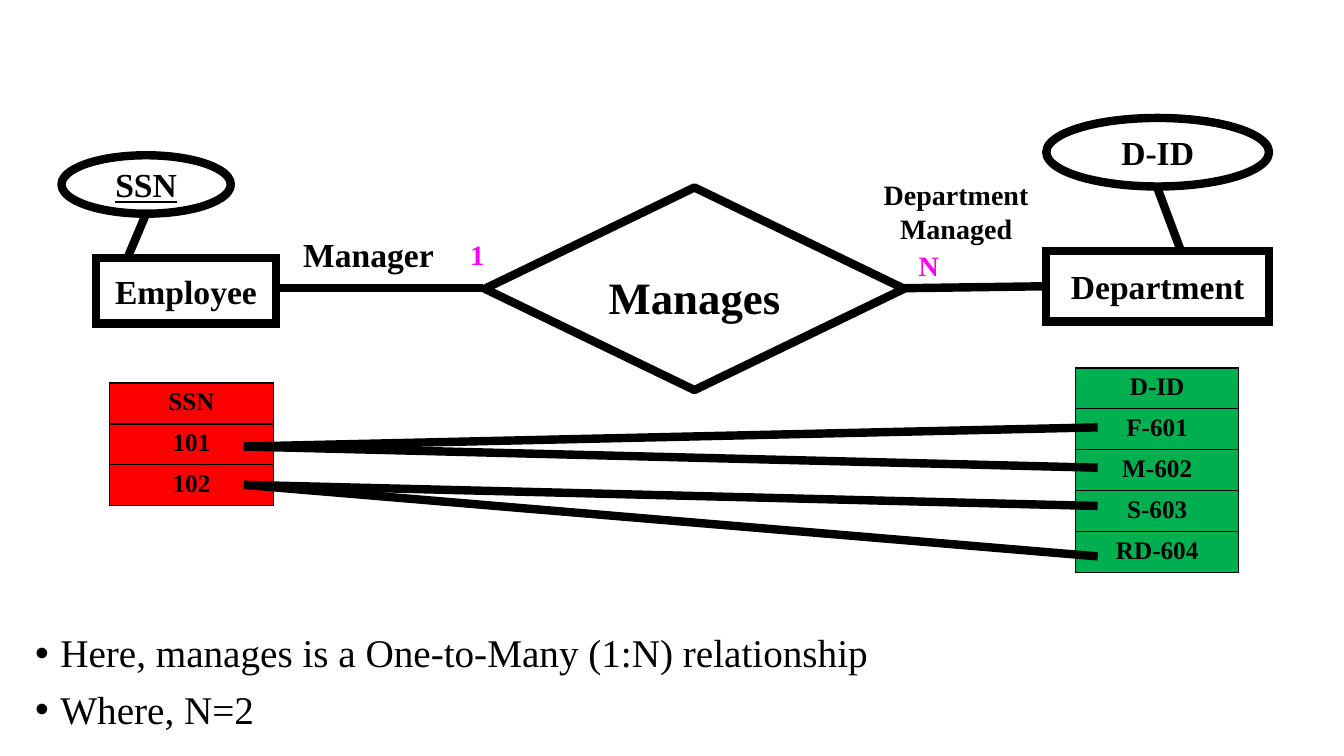
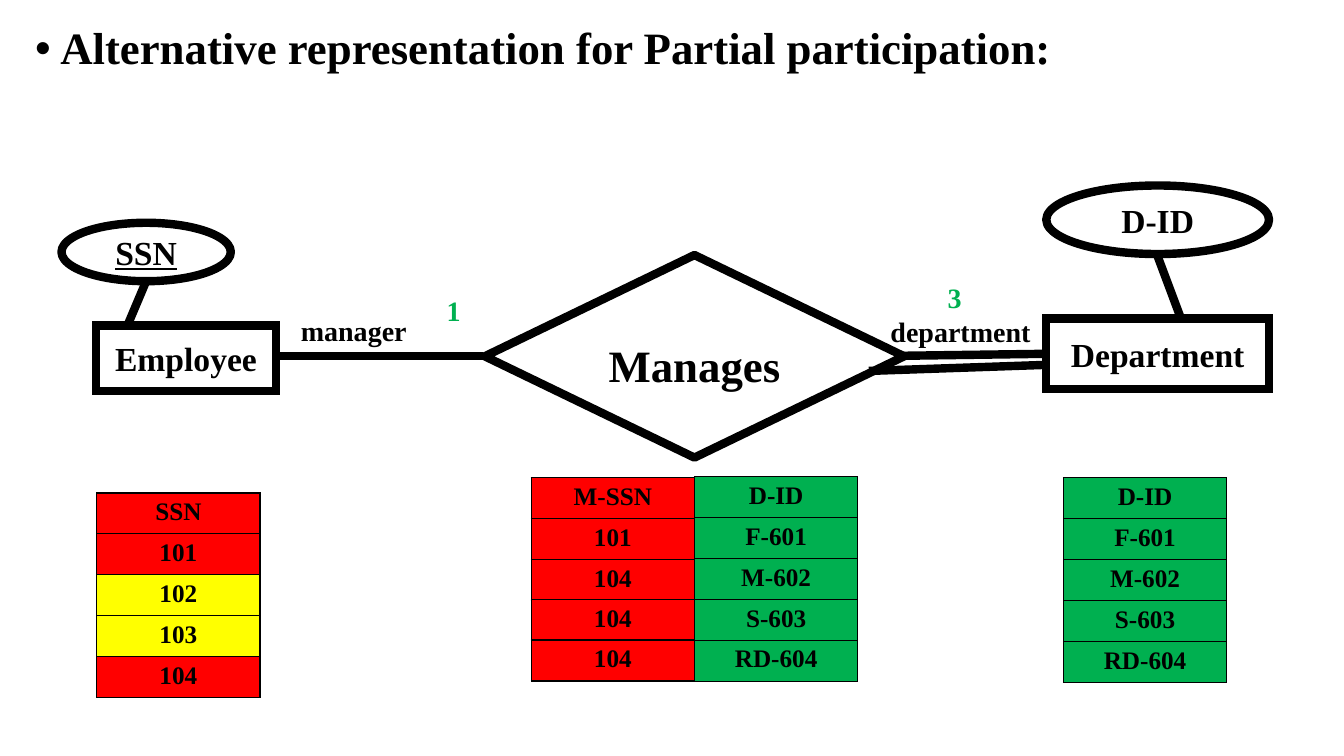
from lxml import etree
from pptx import Presentation
from pptx.dml.color import RGBColor
from pptx.enum.shapes import MSO_CONNECTOR, MSO_SHAPE
from pptx.enum.text import MSO_ANCHOR, PP_ALIGN
from pptx.oxml.ns import qn
from pptx.util import Inches, Pt

COLOURS = {
    "ink": "000000",
    "paper": "FFFFFF",
    "employee": "FF0000",
    "department": "00B050",
    "partial": "FFFF00",
    "cardinality": "FF00FF",
}
FONT = "Times New Roman"
STROKE = Pt(6)
COLUMN_WIDTH = 1.62
ROW_HEIGHT = 2.03 / 5
DEPARTMENTS = ["D-ID", "F-601", "M-602", "S-603", "RD-604"]


def rgb(name):
    return RGBColor.from_string(COLOURS[name])


def style(paragraph, size, bold=True, colour="ink", underline=None):
    font = paragraph.font
    font.name, font.size, font.bold = FONT, Pt(size), bold
    font.underline = underline
    font.color.rgb = rgb(colour)


def add_label(slide, text, box, size, colour="ink", anchor=MSO_ANCHOR.MIDDLE):
    frame = slide.shapes.add_textbox(*map(Inches, box)).text_frame
    frame.word_wrap = True
    frame.vertical_anchor = anchor
    frame.text = text
    for paragraph in frame.paragraphs:
        paragraph.alignment = PP_ALIGN.CENTER
        style(paragraph, size, colour=colour)


def add_bullets(slide, lines, box, size, bold=False):
    frame = slide.shapes.add_textbox(*map(Inches, box)).text_frame
    frame.word_wrap = True
    frame.text = "\n".join(lines)
    for index, paragraph in enumerate(frame.paragraphs):
        paragraph.line_spacing = 0.9
        paragraph.space_before = Pt(10 if index else 0)
        props = paragraph._p.get_or_add_pPr()
        props.set("marL", str(Inches(0.25)))
        props.set("indent", str(-Inches(0.25)))
        etree.SubElement(props, qn("a:buFont"), typeface="Arial")
        etree.SubElement(props, qn("a:buChar"), char="•")
        style(paragraph, size, bold)


def add_link(slide, start, end):
    points = map(Inches, (*start, *end))
    link = slide.shapes.add_connector(MSO_CONNECTOR.STRAIGHT, *points)
    link.line.color.rgb = rgb("ink")
    link.line.width = STROKE
    etree.SubElement(link._element.spPr, qn("a:effectLst"))


def add_node(slide, kind, box, text="", underline=None):
    """Draw an outlined node; one without text is left unfilled."""
    node = slide.shapes.add_shape(kind, *map(Inches, box))
    node.shadow.inherit = False
    node.line.color.rgb = rgb("ink")
    node.line.width = STROKE
    if kind == MSO_SHAPE.RECTANGLE:
        etree.SubElement(node.line._get_or_add_ln(), qn("a:miter"), lim="800000")
    if not text:
        node.fill.background()
        return
    node.fill.solid()
    node.fill.fore_color.rgb = rgb("paper")
    frame = node.text_frame
    frame.text = text
    frame.vertical_anchor = MSO_ANCHOR.MIDDLE
    frame.paragraphs[0].alignment = PP_ALIGN.CENTER
    style(frame.paragraphs[0], 24, underline=underline)


def add_cell_borders(cell):
    props = cell._tc.get_or_add_tcPr()
    for index, side in enumerate(("lnL", "lnR", "lnT", "lnB")):
        border = etree.Element(qn(f"a:{side}"), w=str(Pt(1)))
        fill = etree.SubElement(border, qn("a:solidFill"))
        etree.SubElement(fill, qn("a:srgbClr"), val=COLOURS["ink"])
        props.insert(index, border)


def add_key_table(slide, left, top, values, colour, partial=()):
    """Draw one column of keys; the values in partial take their own fill."""
    table = slide.shapes.add_table(
        len(values), 1, Inches(left), Inches(top),
        Inches(COLUMN_WIDTH), Inches(ROW_HEIGHT * len(values)),
    ).table
    for row, value in enumerate(values):
        table.rows[row].height = Inches(ROW_HEIGHT)
        cell = table.cell(row, 0)
        cell.text = value
        cell.fill.solid()
        cell.fill.fore_color.rgb = rgb("partial" if value in partial else colour)
        paragraph = cell.text_frame.paragraphs[0]
        paragraph.alignment = PP_ALIGN.CENTER
        style(paragraph, 18)
        add_cell_borders(cell)


def add_er_diagram(slide, top):
    """Draw Employee - Manages - Department, with its upper edge at top."""
    add_node(slide, MSO_SHAPE.RECTANGLE, (0.95, top + 1.39, 1.79, 0.65), "Employee")
    add_link(slide, (1.26, top + 1.4), (1.45, top + 0.95))
    add_node(slide, MSO_SHAPE.OVAL, (0.61, top + 0.37, 1.68, 0.58), "SSN", True)
    add_node(slide, MSO_SHAPE.RECTANGLE, (10.38, top + 1.32, 2.21, 0.7), "Department")
    add_node(slide, MSO_SHAPE.OVAL, (10.38, top, 2.21, 0.68), "D-ID")
    add_link(slide, (11.72, top + 1.33), (11.48, top + 0.69))
    add_node(slide, MSO_SHAPE.DIAMOND, (4.81, top + 0.69, 4.16, 2.01))
    add_label(slide, "Manages", (5.58, top + 1.46, 2.62, 0.64), 32,
              anchor=MSO_ANCHOR.TOP)
    add_link(slide, (2.75, top + 1.69), (4.79, top + 1.69))
    add_link(slide, (8.93, top + 1.69), (10.38, top + 1.67))


def build_one_to_many(slide):
    add_bullets(slide, ["Here, manages is a One-to-Many (1:N) relationship",
                        "Where, N=2"], (0.25, 6.24, 12.7, 1.01), 28)
    add_er_diagram(slide, 1.17)
    add_label(slide, "Manager", (2.86, 2.29, 1.59, 0.47), 24)
    add_label(slide, "Department\nManaged", (8.59, 1.77, 1.79, 0.65), 20)

    add_key_table(slide, 1.09, 3.8, ["SSN", "101", "102"], "employee")
    add_key_table(slide, 10.67, 3.65, DEPARTMENTS, "department")
    managed = {4.43: (4.24, 4.64), 4.81: (5.02, 5.52)}
    for manager_y, department_ys in managed.items():
        for department_y in department_ys:
            add_link(slide, (2.42, manager_y), (10.89, department_y))

    add_label(slide, "N", (8.99, 2.44, 0.45, 0.38), 20, "cardinality")
    add_label(slide, "1", (4.51, 2.33, 0.45, 0.38), 20, "cardinality")


def build_partial_participation(slide):
    add_bullets(slide, ["Alternative representation for Partial participation:"],
                (0.25, 0.21, 12.7, 7.04), 32, bold=True)
    add_er_diagram(slide, 1.84)
    add_key_table(slide, 0.96, 4.89, ["SSN", "101", "102", "103", "104"],
                  "employee", partial=("102", "103"))
    add_label(slide, "1", (4.03, 2.83, 0.94, 0.49), 20, "department")
    add_label(slide, "manager", (2.76, 3.12, 1.5, 0.31), 20)
    add_label(slide, "department", (8.68, 3.13, 1.7, 0.32), 20)
    add_label(slide, "3", (9, 2.7, 0.94, 0.49), 20, "department")

    manager_tables = {4.74: ["M-SSN", "101", "104"], 5.95: ["104"], 6.35: ["104"]}
    for top, managers in manager_tables.items():
        add_key_table(slide, 5.27, top, managers, "employee")
    add_key_table(slide, 10.55, 4.74, DEPARTMENTS, "department")
    add_link(slide, (8.62, 3.68), (10.38, 3.62))
    add_key_table(slide, 5.27 + COLUMN_WIDTH, 4.73, DEPARTMENTS, "department")


def main():
    deck = Presentation()
    deck.slide_width, deck.slide_height = Inches(40 / 3), Inches(7.5)
    blank = deck.slide_layouts[6]
    for build in (build_one_to_many, build_partial_participation):
        build(deck.slides.add_slide(blank))
    deck.save("out.pptx")


if __name__ == "__main__":
    main()
